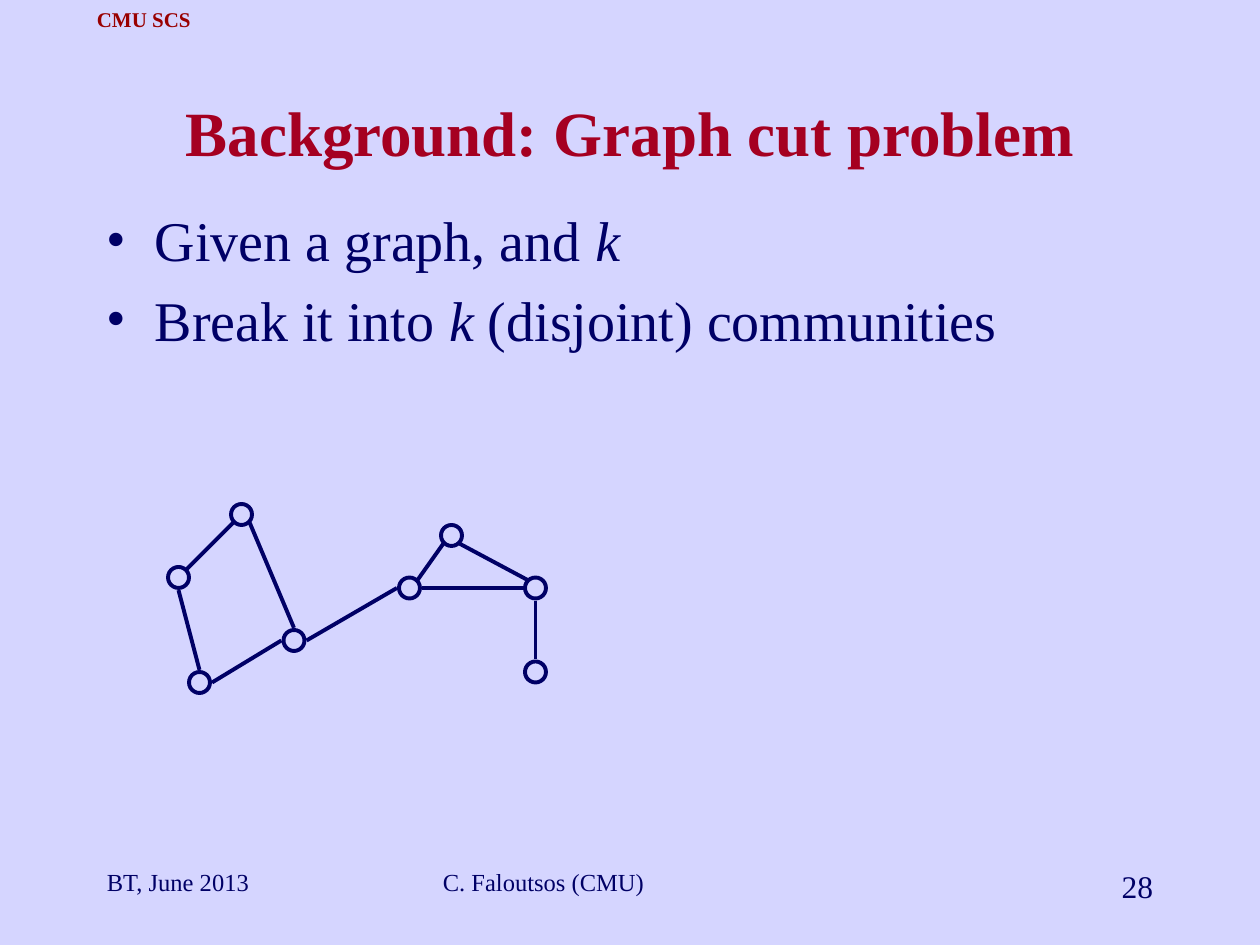
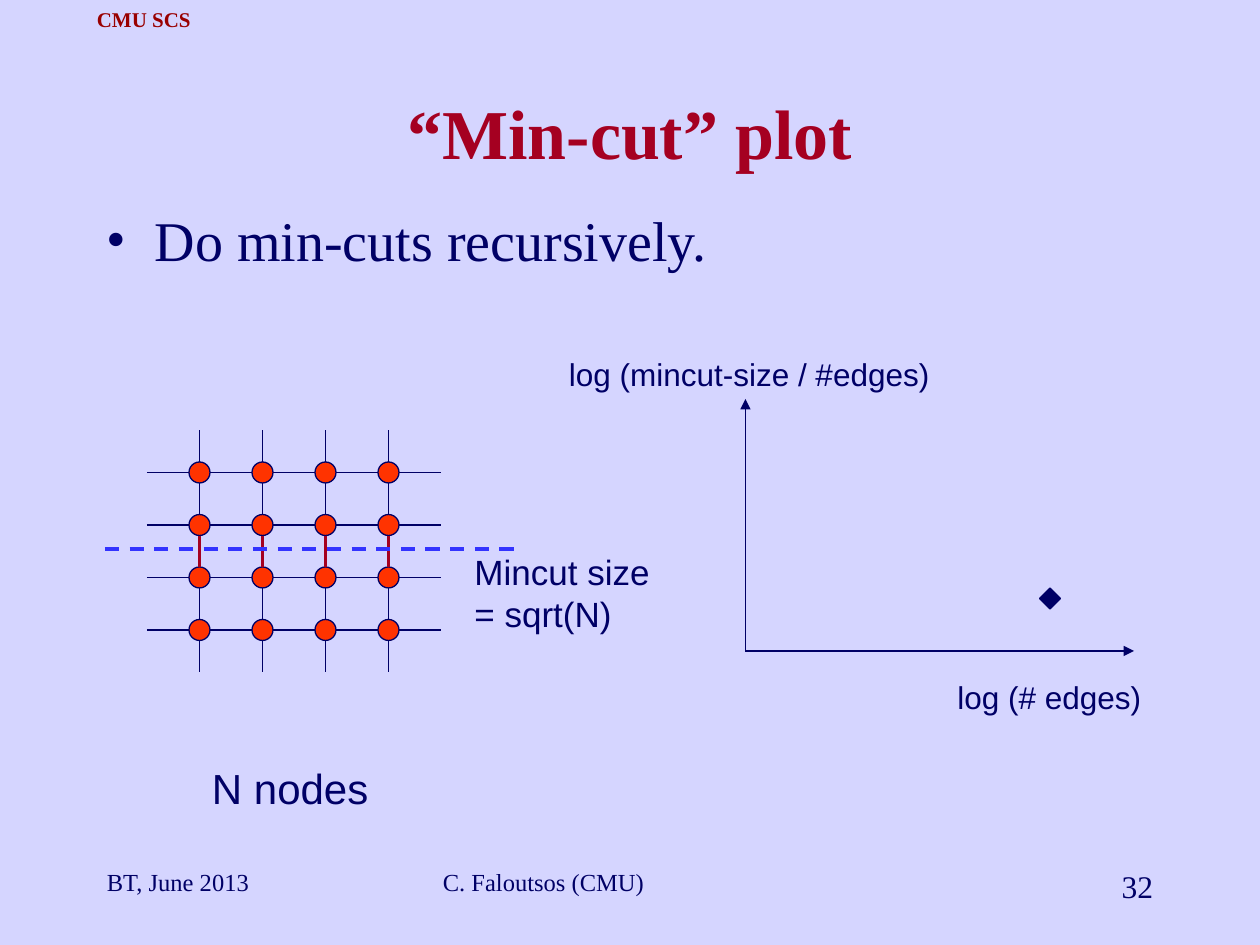
import pptx
import pptx.dml.color
import pptx.enum.dml
import pptx.enum.shapes
import pptx.enum.text
import pptx.oxml
import pptx.oxml.ns
import pptx.util

Align = pptx.enum.text.PP_ALIGN
Anchor = pptx.enum.text.MSO_ANCHOR
AutoSize = pptx.enum.text.MSO_AUTO_SIZE
Preset = pptx.enum.shapes.MSO_SHAPE

# Shared style
BACKGROUND, NAVY, CRIMSON = "D5D5FF", "000066", "A50021"
HEADER_RED, NODE_RED, CUT_BLUE = "990000", "FF3300", "3333FF"
SERIF, SANS = "Times New Roman", "Arial"
COLUMNS, ROWS = 120, 90

# Unit steps from a node's centre to the points where edges meet it
DIAGONAL = 0.65
COMPASS = {
    "N": (0, -1), "E": (1, 0), "S": (0, 1), "W": (-1, 0),
    "NE": (DIAGONAL, -DIAGONAL), "SE": (DIAGONAL, DIAGONAL),
    "SW": (-DIAGONAL, DIAGONAL), "NW": (-DIAGONAL, -DIAGONAL),
}
EDGE_REACH = 1.2


def color(hex_string):
    return pptx.dml.color.RGBColor.from_string(hex_string)


def add_xml(parent, tag, **attributes):
    element = pptx.oxml.parse_xml(f"<{tag} {pptx.oxml.ns.nsdecls('a')}/>")
    for name, value in attributes.items():
        element.set(name, value)
    parent.append(element)


class Deck:
    """Draws on the current slide; lengths are columns and rows of the grid."""

    def __init__(self):
        self.presentation = pptx.Presentation()
        self.presentation.slide_width = pptx.util.Inches(10)
        self.presentation.slide_height = pptx.util.Inches(7.5)
        self.slide = None

    def x(self, columns):
        return round(self.presentation.slide_width * columns / COLUMNS)

    def y(self, rows):
        return round(self.presentation.slide_height * rows / ROWS)

    def box(self, left, top, width, height):
        return self.x(left), self.y(top), self.x(width), self.y(height)

    def add_slide(self, title, number, title_size):
        layout = self.presentation.slide_layouts.get_by_name("Title Only")
        self.slide = self.presentation.slides.add_slide(layout)
        self.slide.background.fill.solid()
        self.slide.background.fill.fore_color.rgb = color(BACKGROUND)

        # Title
        shape = self.slide.shapes.title
        shape.left, shape.top, shape.width, shape.height = self.box(9, 8, 102, 9)
        frame = shape.text_frame
        frame.text = title
        frame.vertical_anchor = Anchor.MIDDLE
        frame.auto_size = AutoSize.NONE
        frame.paragraphs[0].alignment = Align.CENTER
        self.format_run(frame.paragraphs[0].runs[0], title_size, CRIMSON, bold=True)

        # Header and footers
        header = self.text("CMU SCS", 7.7, 0, 12, 3.6, 12, HEADER_RED,
                           align=Align.CENTER, bold=True)
        header.word_wrap = False
        header.auto_size = AutoSize.SHAPE_TO_FIT_TEXT
        header.vertical_anchor = Anchor.MIDDLE
        self.text("BT, June 2013", 9, 82, 25, 6, 14)
        self.text("C. Faloutsos (CMU)", 41, 82, 38, 6, 14)
        self.text(str(number), 86, 82, 25, 6, 18, align=Align.RIGHT)

    def format_run(self, run, size, fill=NAVY, font=SERIF, bold=False, italic=False):
        run.font.size = pptx.util.Pt(size)
        run.font.name = font
        run.font.color.rgb = color(fill)
        run.font.bold = bold
        run.font.italic = italic

    def text(self, text, left, top, width, height, size, fill=NAVY, font=SERIF,
             align=Align.LEFT, bold=False):
        shape = self.slide.shapes.add_textbox(*self.box(left, top, width, height))
        frame = shape.text_frame
        frame.word_wrap = True
        frame.text = text
        frame.paragraphs[0].alignment = align
        self.format_run(frame.paragraphs[0].runs[0], size, fill, font, bold)
        return frame

    def label(self, text, left, top, width, height, size):
        self.text(text, left, top, width, height, size, font=SANS)

    def bullets(self, items):
        """Fill the body; words between asterisks are italic."""
        shape = self.slide.shapes.add_textbox(*self.box(9, 19, 102, 61))
        frame = shape.text_frame
        frame.word_wrap = True
        for index, item in enumerate(items):
            paragraph = frame.add_paragraph() if index else frame.paragraphs[0]
            properties = paragraph._p.get_or_add_pPr()
            indent = pptx.util.Inches(0.38)
            properties.set("marL", str(indent))
            properties.set("indent", str(-indent))
            add_xml(properties, "a:buFont", typeface=SERIF)
            add_xml(properties, "a:buChar", char="•")
            if index:
                paragraph.space_before = pptx.util.Pt(7)
            for position, part in enumerate(item.split("*")):
                if part:
                    run = paragraph.add_run()
                    run.text = part
                    self.format_run(run, 32, italic=position % 2 == 1)

    def marker(self, center, fill=None, weight=0.75, preset=Preset.OVAL):
        column, row = center
        shape = self.slide.shapes.add_shape(preset, *self.box(column - 1, row - 1, 2, 2))
        shape.shadow.inherit = False
        if fill:
            shape.fill.solid()
            shape.fill.fore_color.rgb = color(fill)
        else:
            shape.fill.background()
        shape.line.color.rgb = color(NAVY)
        shape.line.width = pptx.util.Pt(weight)

    def line(self, start, end, stroke=NAVY, weight=0.75, dashed=False, arrow=False):
        connector = self.slide.shapes.add_connector(
            pptx.enum.shapes.MSO_CONNECTOR.STRAIGHT,
            self.x(start[0]), self.y(start[1]), self.x(end[0]), self.y(end[1]))
        connector.line.color.rgb = color(stroke)
        connector.line.width = pptx.util.Pt(weight)
        if dashed:
            connector.line.dash_style = pptx.enum.dml.MSO_LINE.DASH
        if arrow:
            add_xml(connector.line._get_or_add_ln(), "a:tailEnd", type="triangle")
        add_xml(connector._element.spPr, "a:effectLst")


def edge_point(center, direction):
    return tuple(c + EDGE_REACH * step for c, step in zip(center, COMPASS[direction]))


def graph_cut_slide(deck):
    deck.add_slide("Background: Graph cut problem", 28, 36)
    deck.bullets(["Given a graph, and *k*", "Break it into *k* (disjoint) communities"])

    # Two communities joined by one bridge
    nodes = {
        "top": (23, 49), "west": (17, 55), "south": (19, 65), "hub": (28, 61),
        "gate": (39, 56), "peak": (43, 51), "east": (51, 56), "leaf": (51, 64),
    }
    edges = [
        ("top", "SW", "west", "NE"), ("top", "SE", "hub", "N"),
        ("south", "N", "west", "S"), ("hub", "W", "south", "E"),
        ("hub", "E", "gate", "W"), ("gate", "NE", "peak", "SW"),
        ("gate", "E", "east", "W"), ("peak", "SE", "east", "NW"),
        ("east", "S", "leaf", "N"),
    ]
    for center in nodes.values():
        deck.marker(center, weight=2.25)
    for first, leaving, second, arriving in edges:
        deck.line(edge_point(nodes[first], leaving),
                  edge_point(nodes[second], arriving), weight=2.25)


def min_cut_slide(deck):
    deck.add_slide("“Min-cut” plot", 32, 40)
    deck.bullets(["Do min-cuts recursively."])

    # Lattice: the middle vertical links are the ones being cut
    size, left, top, column_gap, row_gap = 4, 19, 45, 6, 5
    columns = [left + column_gap * i for i in range(size)]
    rows = [top + row_gap * i for i in range(size)]
    for row in rows:
        for column in columns:
            deck.marker((column, row), NODE_RED)
        for i in range(size + 1):
            end = left - 1 + column_gap * i
            deck.line((end - column_gap + 2, row), (end, row))
    for column in columns:
        for i in range(size + 1):
            end = top - 1 + row_gap * i
            stroke, weight = (CRIMSON, 1.75) if i == size // 2 else (NAVY, 0.75)
            deck.line((column, end - row_gap + 2), (column, end), stroke, weight)
    deck.line((10, 52.3), (49, 52.3), CUT_BLUE, 2, dashed=True)
    deck.label("N nodes", 19, 72, 20, 6, 24)
    deck.label("Mincut size = sqrt(N)", 44, 51.8, 20, 9.2, 20)

    # Plot sketch
    origin = (71, 62)
    deck.line(origin, (108, 62), arrow=True)
    deck.line(origin, (71, 38), arrow=True)
    deck.label("log (# edges)", 90, 64, 23, 4.8, 18)
    deck.label("log (mincut-size / #edges)", 53, 33.2, 40, 4.8, 18)
    deck.marker((100, 57), NAVY, preset=Preset.DIAMOND)


def main():
    deck = Deck()
    graph_cut_slide(deck)
    min_cut_slide(deck)
    deck.presentation.save("out.pptx")


if __name__ == "__main__":
    main()
